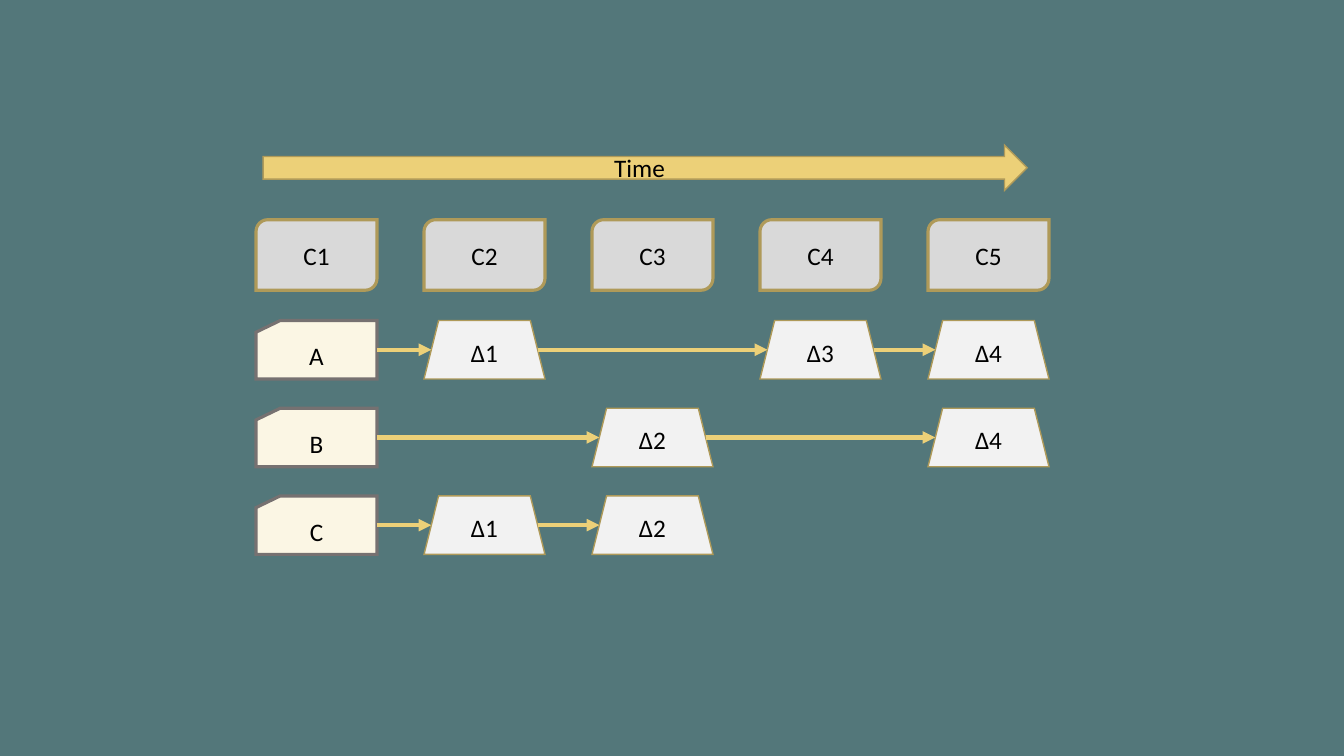
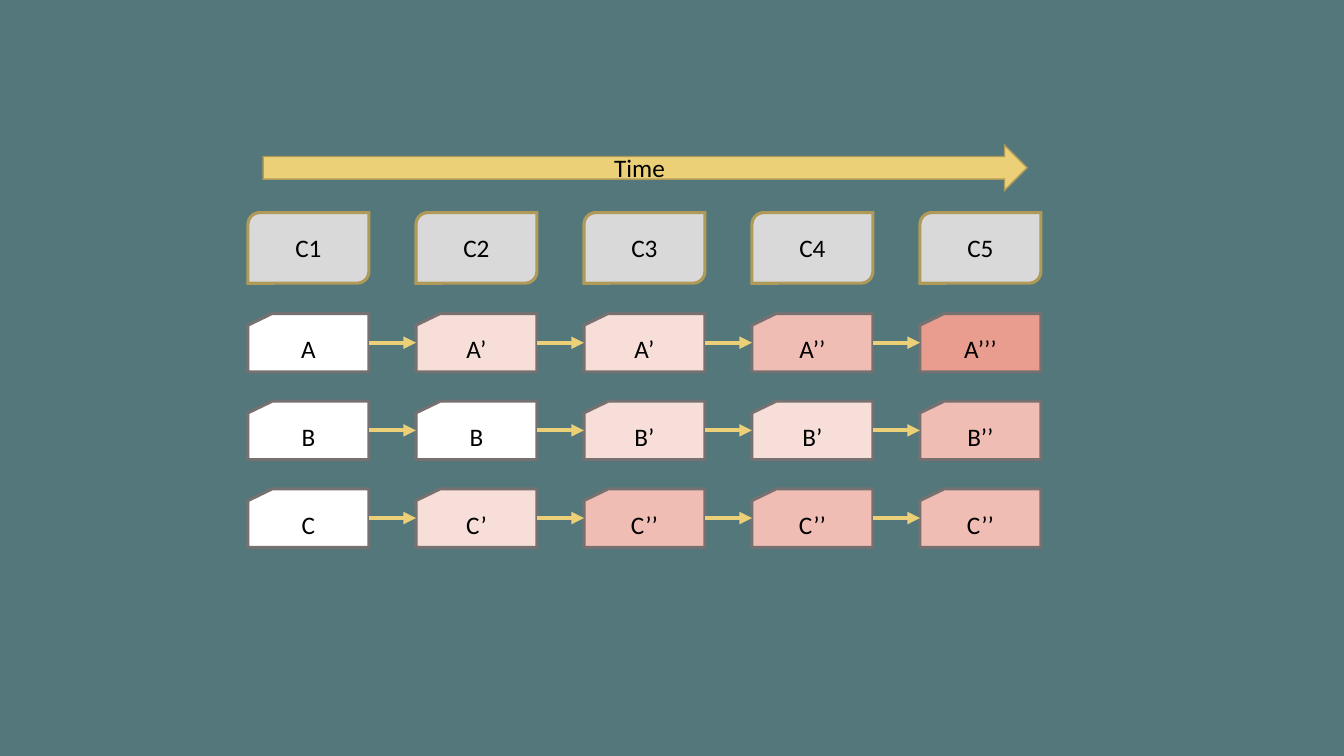
from itertools import pairwise

from pptx import Presentation
from pptx import util as u
from pptx.dml.color import RGBColor
from pptx.enum import shapes, text
from pptx.oxml.ns import qn
from lxml import etree

COLOURS = {
    "background": "53777A", "arrow": "ECD078", "gold edge": "AF9A59",
    "grey edge": "767171", "header": "D9D9D9", "base": "FBF6E4",
    "delta": "F2F2F2", "text": "000000",
    "version 0": "FFFFFF", "version 1": "F7DED9",
    "version 2": "F0BDB4", "version 3": "E89D8E",
}
FONT = "Calibri"
SLIDE_WIDTH, SLIDE_HEIGHT = u.Inches(13.333), u.Inches(7.5)
COLUMN = SLIDE_WIDTH / 8
ROW = u.Inches(0.87)
BOX_WIDTH, HEADER_HEIGHT, FILE_HEIGHT = u.Inches(1.2), u.Inches(0.7), u.Inches(0.58)
HEADER_TO_FILES = u.Inches(1)
SLANT = FILE_HEIGHT / 8  # inset of a trapezoid's side at half height

HEADERS = ["C1", "C2", "C3", "C4", "C5"]
DELTAS = [
    ["A", "∆1", None, "∆3", "∆4"],
    ["B", None, "∆2", None, "∆4"],
    ["C", "∆1", "∆2", None, None],
]
SNAPSHOTS = [
    ["A", "A’", "A’", "A’’", "A’’’"],
    ["B", "B", "B’", "B’", "B’’"],
    ["C", "C’", "C’’", "C’’", "C’’"],
]

KIND = shapes.MSO_SHAPE


def rgb(name):
    return RGBColor.from_string(COLOURS[name])


def add_box(page, kind, place, label, fill, edge="gold edge", weight=1):
    box = page.shapes.add_shape(kind, *(round(length) for length in place))
    box.shadow.inherit = False
    box.fill.solid()
    box.fill.fore_color.rgb = rgb(fill)
    box.line.color.rgb = rgb(edge)
    box.line.width = u.Pt(weight)
    miter = etree.SubElement(box.line._get_or_add_ln(), qn("a:miter"))
    miter.set("lim", "800000")
    box.text_frame.vertical_anchor = text.MSO_ANCHOR.MIDDLE
    para = box.text_frame.paragraphs[0]
    para.text = label
    para.alignment = text.PP_ALIGN.CENTER
    para.font.name, para.font.size = FONT, u.Pt(18)
    para.font.color.rgb = rgb("text")
    return box


def add_file(page, place, label, fill):
    return add_box(page, KIND.FLOWCHART_CARD, place, label, fill, "grey edge", 2.25)


def add_base_or_delta(page, place, label):
    if label.startswith("∆"):
        return add_box(page, KIND.TRAPEZOID, place, label, "delta")
    return add_file(page, place, label, "base")


def add_snapshot(page, place, label):
    """Shade a file by the number of changes it has had."""
    return add_file(page, place, label, f"version {label.count('’')}")


def side_inset(box):
    return round(SLANT) if box.auto_shape_type == KIND.TRAPEZOID else 0


def add_arrow(page, source, target):
    """Join the right side of source to the left side of target."""
    arrow = page.shapes.add_connector(shapes.MSO_CONNECTOR.STRAIGHT, 0, 0, 0, 0)
    arrow.begin_connect(source, 3)
    arrow.end_connect(target, 1)
    arrow.begin_x -= side_inset(source)
    arrow.end_x += side_inset(target)
    arrow.line.color.rgb = rgb("arrow")
    arrow.line.width = u.Pt(3)
    etree.SubElement(arrow.line._get_or_add_ln(), qn("a:tailEnd")).set("type", "triangle")
    etree.SubElement(arrow._element.spPr, qn("a:effectLst"))


def add_history(deck, left, top, rows, add_cell):
    page = deck.slides.add_slide(deck.slide_layouts[6])
    page.background.fill.solid()
    page.background.fill.fore_color.rgb = rgb("background")

    for column, label in enumerate(HEADERS):
        place = left + column * COLUMN, top, BOX_WIDTH, HEADER_HEIGHT
        add_box(page, KIND.ROUND_2_DIAG_RECTANGLE, place, label, "header", weight=2.25)

    for row, labels in enumerate(rows):
        y = top + HEADER_TO_FILES + row * ROW
        boxes = [
            add_cell(page, (left + column * COLUMN, y, BOX_WIDTH, FILE_HEIGHT), label)
            for column, label in enumerate(labels) if label
        ]
        for source, target in pairwise(boxes):
            add_arrow(page, source, target)

    timeline = [u.Inches(length) for length in (2.61, 1.44, 7.58, 0.45)]
    add_box(page, KIND.RIGHT_ARROW, timeline, "Time", "arrow")


def main():
    deck = Presentation()
    deck.slide_width, deck.slide_height = SLIDE_WIDTH, SLIDE_HEIGHT
    add_history(deck, u.Inches(2.54), u.Inches(2.18), DELTAS, add_base_or_delta)
    add_history(deck, u.Inches(2.46), u.Inches(2.11), SNAPSHOTS, add_snapshot)
    deck.save("out.pptx")


if __name__ == "__main__":
    main()
